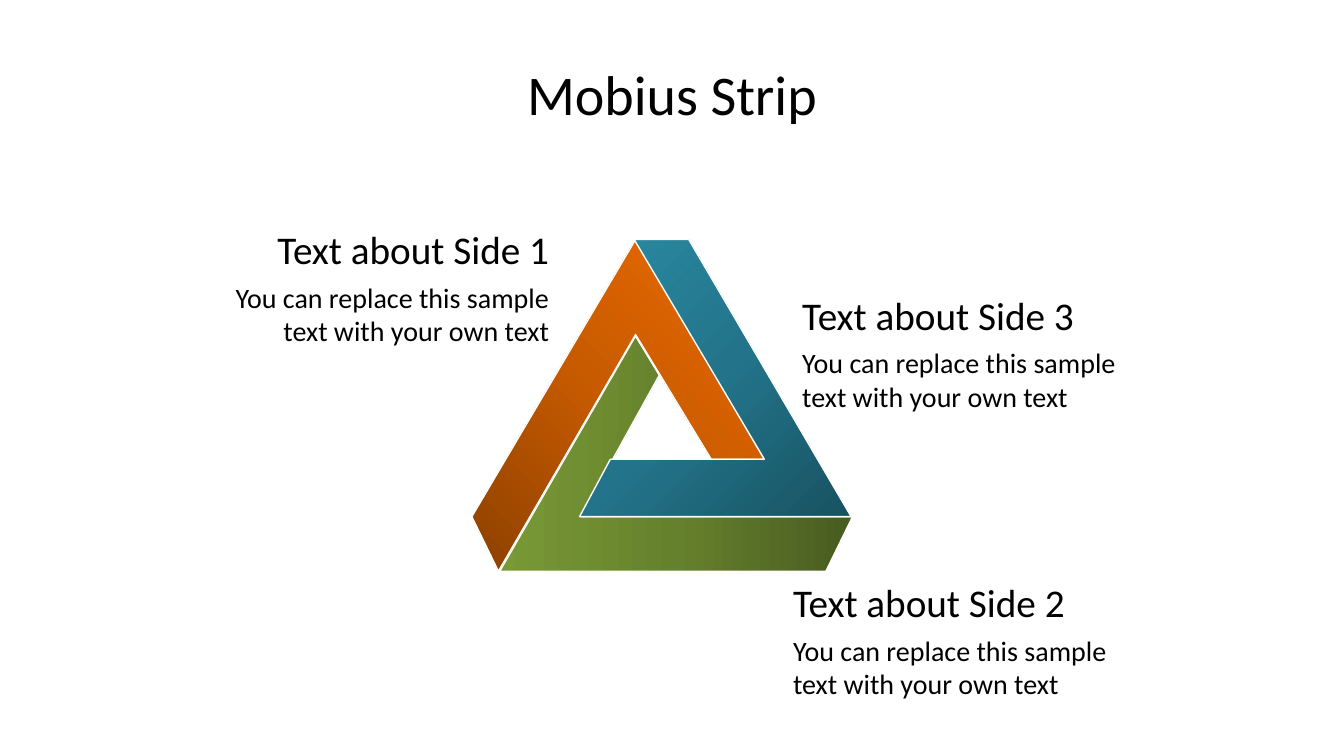
from copy import deepcopy
from dataclasses import dataclass

from pptx import Presentation
from pptx.dml.color import RGBColor
from pptx.enum.text import MSO_ANCHOR, MSO_AUTO_SIZE, PP_ALIGN
from pptx.slide import Slide
from pptx.text.text import TextFrame
from pptx.util import Pt

FONT = "Calibri"
COLORS = {
    "text": "000000",
    "outline": "FFFFFF",
    "orange": ("8D4000", "C85B00", "EE6B00"),
    "green": ("485B20", "66812D", "799936"),
    "blue": ("185261", "23748A", "298AA3"),
}
STOP_POSITIONS = (0, 0.5, 1)
SAMPLE_TEXT = "You can replace this sample text with your own text"
HEADING_WIDTH, HEADING_HEIGHT = 217.4, 41.2
DETAIL_WIDTH, DETAIL_HEIGHT = 249.1, 55.7
DETAIL_OFFSET = 38.9


@dataclass
class Band:
    color: str
    angle: float
    points: list[tuple[float, float]]


@dataclass
class Caption:
    heading: str
    edge: float
    top: float
    alignment: PP_ALIGN


BANDS = [
    Band("orange", 45, [(356.4, 407.5), (337, 368.6), (453.6, 171.4),
                        (546.5, 328.3), (507.6, 328.3), (453.6, 239)]),
    Band("green", 180, [(609.1, 368.6), (589.7, 407.5), (357.1, 407.5),
                        (453.6, 239.8), (470.9, 267.8), (414.7, 368.6)]),
    Band("blue", 135, [(452.9, 171.4), (491.8, 171.4), (607.7, 368.6),
                       (414, 368.6), (436.3, 328.3), (545.8, 328.3)]),
]
CAPTIONS = [
    Caption("Text about Side 1", 399.3, 157.7, PP_ALIGN.RIGHT),
    Caption("Text about Side 2", 559.4, 409.7, PP_ALIGN.LEFT),
    Caption("Text about Side 3", 565.9, 204.5, PP_ALIGN.LEFT),
]


def write_text(text_frame: TextFrame, text: str, size: float, alignment: PP_ALIGN) -> None:
    text_frame.text = text
    text_frame.word_wrap = True
    paragraph = text_frame.paragraphs[0]
    paragraph.alignment = alignment
    font = paragraph.runs[0].font
    font.name = FONT
    font.size = Pt(size)
    font.color.rgb = RGBColor.from_string(COLORS["text"])


def add_title(slide: Slide, text: str) -> None:
    title = slide.shapes.title
    title.left, title.top, title.width, title.height = Pt(48), Pt(21.6), Pt(864), Pt(90)
    write_text(title.text_frame, text, 40, PP_ALIGN.CENTER)
    title.text_frame.vertical_anchor = MSO_ANCHOR.MIDDLE


def add_band(slide: Slide, band: Band) -> None:
    start, *corners = band.points
    builder = slide.shapes.build_freeform(*start, scale=Pt(1))
    builder.add_line_segments(corners, close=True)
    shape = builder.convert_to_shape()
    shape.shadow.inherit = False
    shape.fill.gradient()
    stop_list = shape.element.xpath(".//a:gsLst")[0]
    stop_list.append(deepcopy(stop_list[0]))
    for stop, position, color in zip(shape.fill.gradient_stops, STOP_POSITIONS, COLORS[band.color]):
        stop.position = position
        stop.color.rgb = RGBColor.from_string(color)
    shape.fill.gradient_angle = band.angle
    shape.line.color.rgb = RGBColor.from_string(COLORS["outline"])
    shape.line.width = Pt(1)


def add_caption(slide: Slide, caption: Caption) -> None:
    group = slide.shapes.add_group_shape()
    rows = [
        (caption.heading, 28, caption.top, HEADING_WIDTH, HEADING_HEIGHT),
        (SAMPLE_TEXT, 20, caption.top + DETAIL_OFFSET, DETAIL_WIDTH, DETAIL_HEIGHT),
    ]
    for text, size, top, width, height in rows:
        left = caption.edge - width if caption.alignment == PP_ALIGN.RIGHT else caption.edge
        text_box = group.shapes.add_textbox(Pt(left), Pt(top), Pt(width), Pt(height))
        write_text(text_box.text_frame, text, size, caption.alignment)
        text_box.text_frame.auto_size = MSO_AUTO_SIZE.SHAPE_TO_FIT_TEXT


def main() -> None:
    presentation = Presentation()
    presentation.slide_width, presentation.slide_height = Pt(960), Pt(540)
    slide = presentation.slides.add_slide(presentation.slide_layouts[5])
    add_title(slide, "Mobius Strip")
    for band in BANDS:
        add_band(slide, band)
    for caption in CAPTIONS:
        add_caption(slide, caption)
    presentation.save("out.pptx")


if __name__ == "__main__":
    main()
